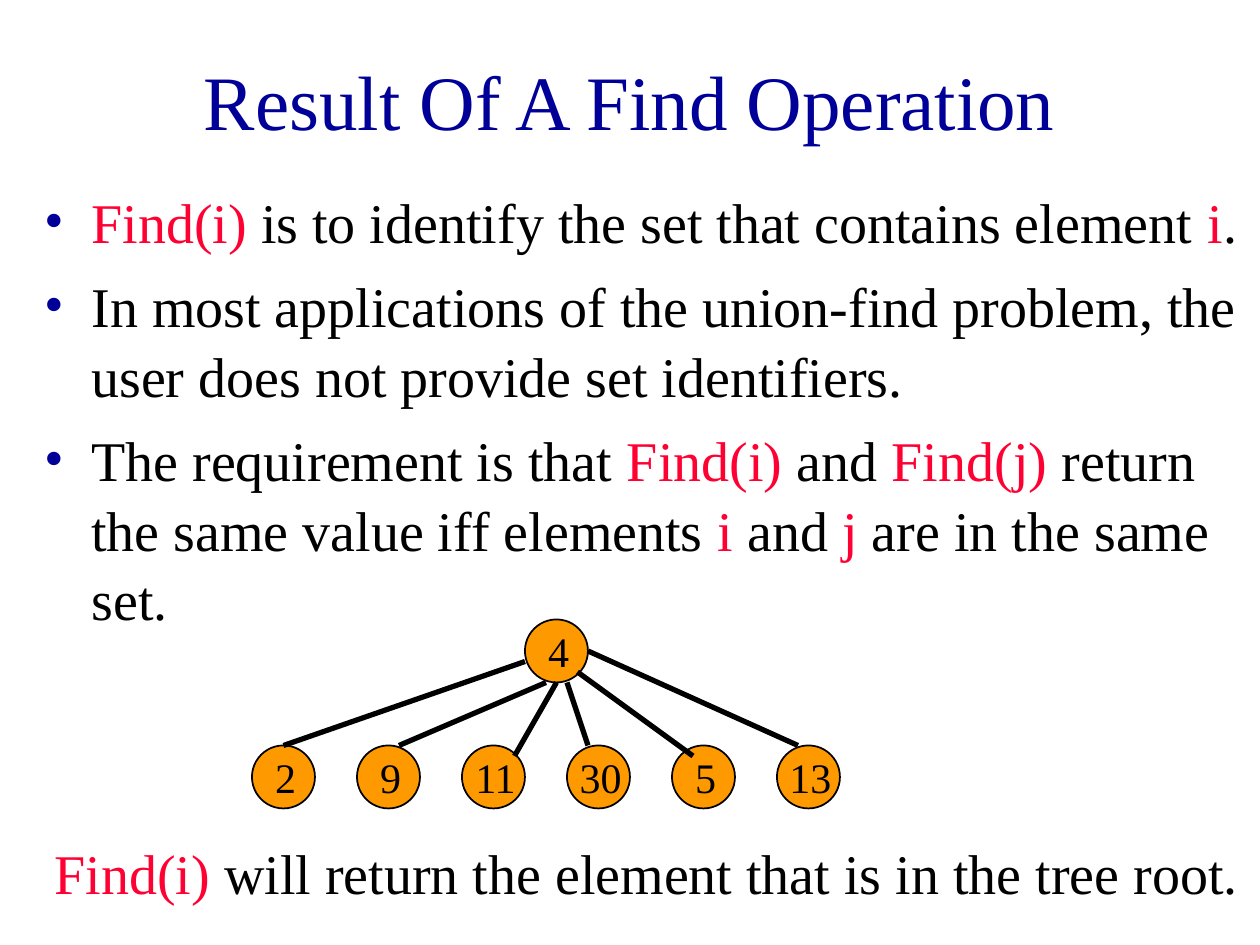
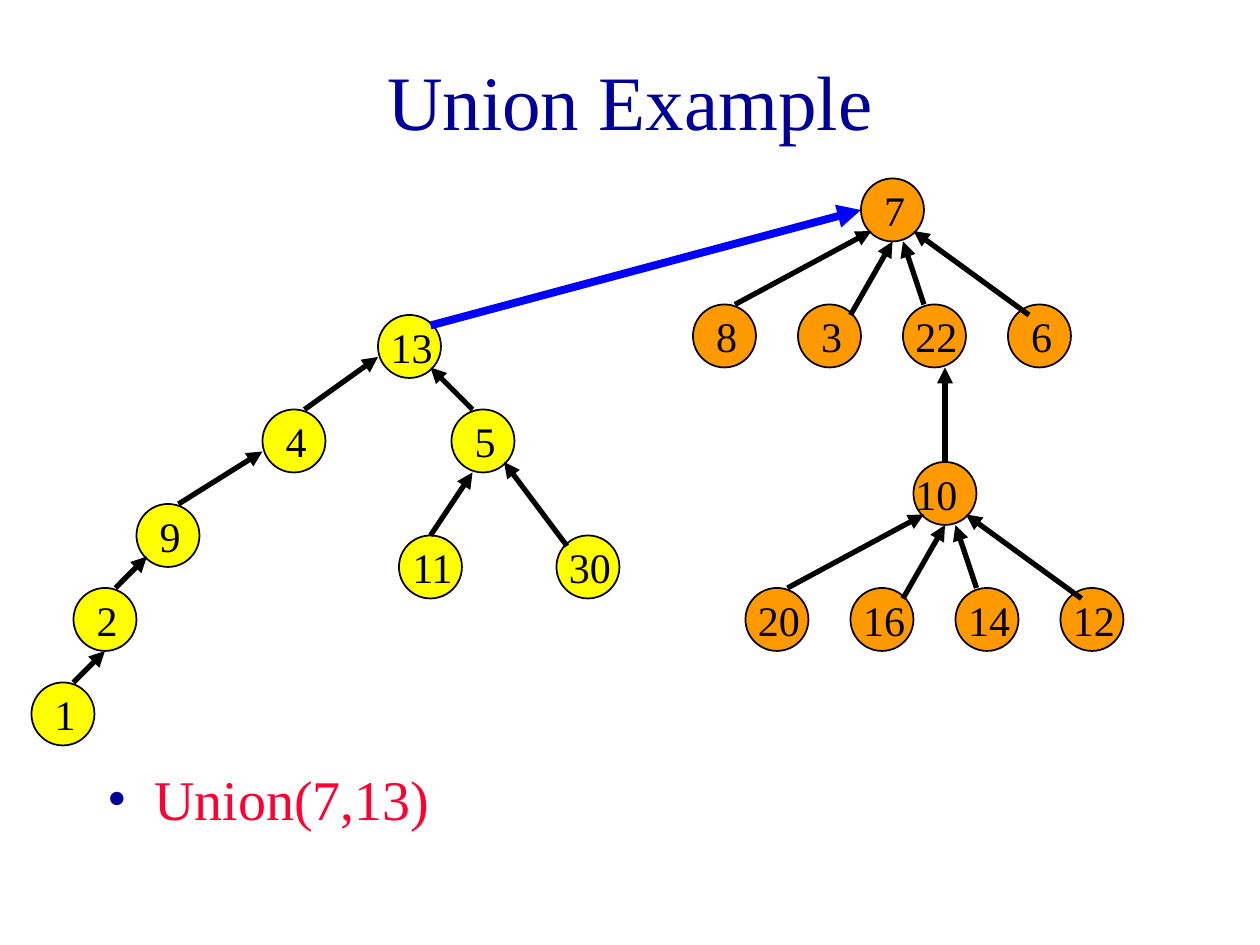
from lxml.etree import SubElement
from pptx import Presentation
from pptx.dml.color import RGBColor
from pptx.enum.shapes import MSO_CONNECTOR, MSO_SHAPE
from pptx.enum.text import MSO_ANCHOR as Anchor, MSO_AUTO_SIZE as Fit, PP_ALIGN as Align
from pptx.oxml.ns import qn
from pptx.util import Pt

PX = 7620
NAVY = RGBColor(0x00, 0x00, 0x99)
RED = RGBColor(0xFF, 0x00, 0x33)
BLACK = RGBColor(0x00, 0x00, 0x00)
BLUE = RGBColor(0x00, 0x00, 0xFF)
GOLD = RGBColor(0xFF, 0x99, 0x00)
YELLOW = RGBColor(0xFF, 0xFF, 0x00)
FONT = "Times New Roman"
SIZE = 60


def put(para, text, size=32, color=BLACK, align=Align.LEFT, lead=1.0, gap=0, bullet=False):
    para.alignment = align
    para.line_spacing = lead
    para.space_before = Pt(gap)
    if bullet:
        props = para._p.get_or_add_pPr()
        props.set("marL", str(45 * PX))
        props.set("indent", str(-45 * PX))
        tint = SubElement(props, qn("a:buClr"))
        SubElement(tint, qn("a:srgbClr"), val=str(NAVY))
        SubElement(props, qn("a:buFont"), typeface=FONT)
        SubElement(props, qn("a:buChar"), char="•")
    for i, part in enumerate(text.split("|")):
        if part:
            run = para.add_run()
            run.text = part
            run.font.name = FONT
            run.font.size = Pt(size)
            run.font.color.rgb = RED if i % 2 else color


def place(shape, left, top, width, height):
    shape.left, shape.top = left * PX, top * PX
    shape.width, shape.height = width * PX, height * PX


find_nodes = [("4", 500, 590, GOLD)]
for i, key in enumerate(["2", "9", "11", "30", "5", "13"]):
    find_nodes.append((key, 240 + 100 * i, 710, GOLD))
find_links = [
    (500, 630, 270, 710), (520, 650, 380, 710), (530, 650, 490, 720),
    (540, 650, 560, 710), (550, 640, 660, 720), (560, 620, 760, 710),
]

union_nodes = [
    ("4", 250, 390, YELLOW), ("2", 70, 560, YELLOW), ("9", 130, 480, YELLOW),
    ("11", 380, 510, YELLOW), ("30", 530, 510, YELLOW), ("5", 430, 390, YELLOW),
    ("13", 360, 300, YELLOW), ("1", 30, 650, YELLOW),
]
union_links = [
    (290, 390, 360, 340), (170, 480, 250, 430), (450, 390, 410, 350),
    (110, 560, 140, 530), (410, 510, 450, 450), (540, 520, 480, 440),
    (70, 650, 100, 620), (900, 440, 900, 350),
]
fan = [(-120, 120, 10, 50), (-10, 130, 30, 60), (60, 120, 40, 60), (160, 130, 50, 50)]
for root, x, y, kids in [
    ("7", 820, 170, ["8", "3", "22", "6"]),
    ("10", 870, 440, ["20", "16", "14", "12"]),
]:
    union_nodes.append((root, x, y, GOLD))
    for i, key in enumerate(kids):
        union_nodes.append((key, x - 160 + 100 * i, y + 120, GOLD))
    for x1, y1, x2, y2 in fan:
        union_links.append((x + x1, y + y1, x + x2, y + y2))

pages = [
    ("Result Of A Find Operation", (30, 170, 1170, 630), [
        "|Find(i)| is to identify the set that contains element |i|.",
        "In most applications of the union-find problem, the user does not provide set identifiers.",
        "The requirement is that |Find(i)| and |Find(j)| return the same value iff "
        "elements |i| and |j| are in the same set.",
    ], find_nodes, [(link, BLACK, 3, False) for link in find_links]),
    ("Union Example", (90, 720, 1020, 90), ["|Union(7,13)|"], union_nodes,
     [(link, BLACK, 3, True) for link in union_links]
     + [((410, 310, 820, 200), BLUE, 4.5, True)]),
]

deck = Presentation()
deck.slide_width, deck.slide_height = 1200 * PX, 900 * PX

for title, area, points, nodes, links in pages:
    slide = deck.slides.add_slide(deck.slide_layouts[1])
    head, body = slide.placeholders
    place(head, 90, 20, 1020, 150)
    head.text_frame.auto_size = Fit.NONE
    head.text_frame.vertical_anchor = Anchor.MIDDLE
    put(head.text_frame.paragraphs[0], title, size=44, color=NAVY, align=Align.CENTER)

    place(body, *area)
    frame = body.text_frame
    frame.auto_size = Fit.NONE
    for i, point in enumerate(points):
        para = frame.add_paragraph() if i else frame.paragraphs[0]
        put(para, point, lead=1.04, gap=8 if i else 0, bullet=True)

    for key, x, y, color in nodes:
        node = slide.shapes.add_shape(MSO_SHAPE.OVAL, x * PX, y * PX, SIZE * PX, SIZE * PX)
        node.shadow.inherit = False
        node.fill.solid()
        node.fill.fore_color.rgb = color
        node.line.color.rgb = BLACK
        node.line.width = Pt(1)
        frame = node.text_frame
        frame.word_wrap = False
        frame.vertical_anchor = Anchor.MIDDLE
        frame.margin_left = 0 if key == "10" else 4 * PX
        frame.margin_right = 16 * PX if key == "10" else 0
        frame.margin_top = frame.margin_bottom = 0
        put(frame.paragraphs[0], key, size=24, align=Align.CENTER)

    for ends, color, width, arrow in links:
        link = slide.shapes.add_connector(MSO_CONNECTOR.STRAIGHT, *[n * PX for n in ends])
        link.line.color.rgb = color
        link.line.width = Pt(width)
        props = link._element.spPr
        if arrow:
            SubElement(props.find(qn("a:ln")), qn("a:tailEnd"), type="triangle")
        SubElement(props, qn("a:effectLst"))

note = deck.slides[0].shapes.add_textbox(40 * PX, 790 * PX, 1160 * PX, 77 * PX)
note.text_frame.word_wrap = True
put(note.text_frame.paragraphs[0],
    "|Find(i) |will return the element that is in the tree root.", lead=1.04)

deck.save("out.pptx")
